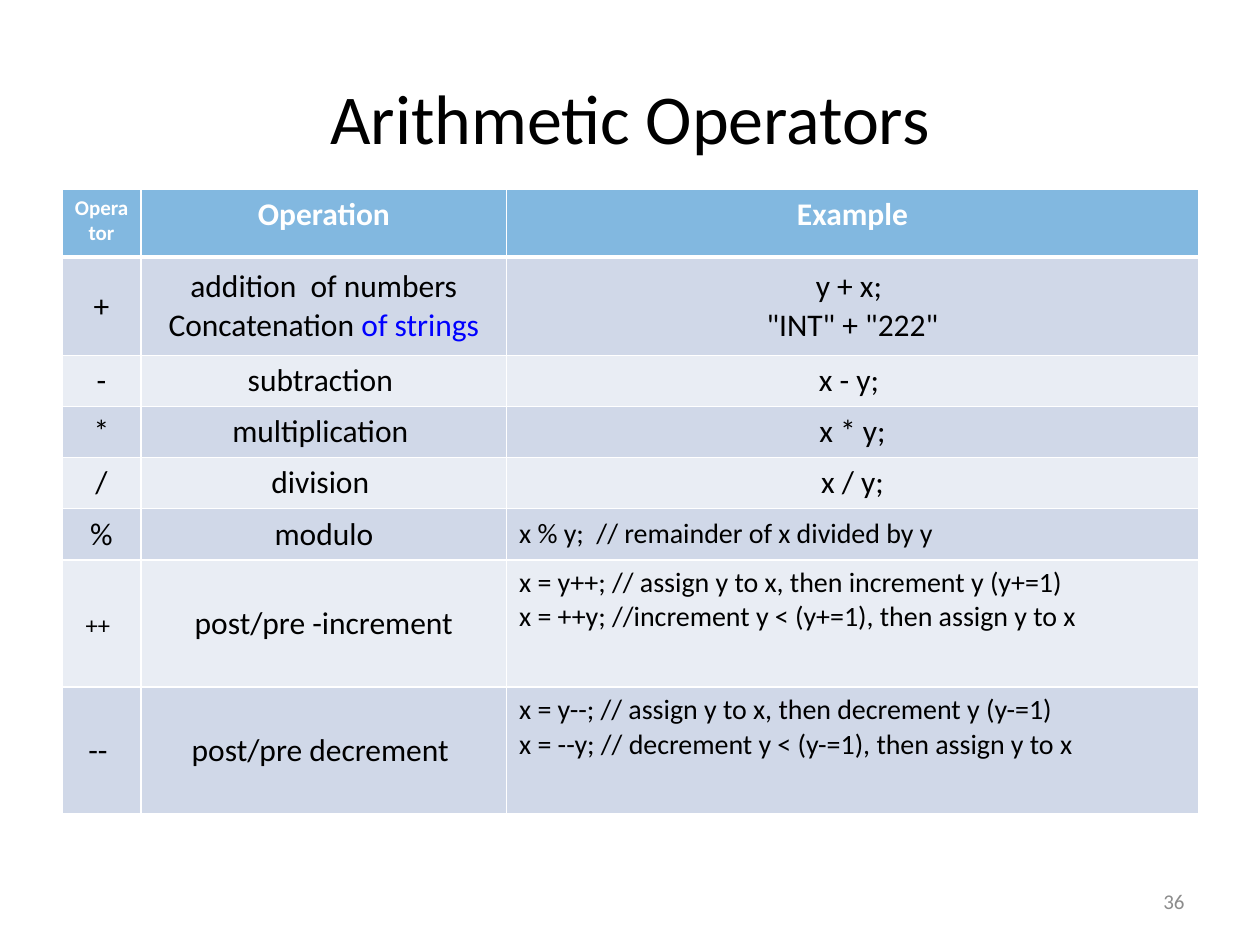
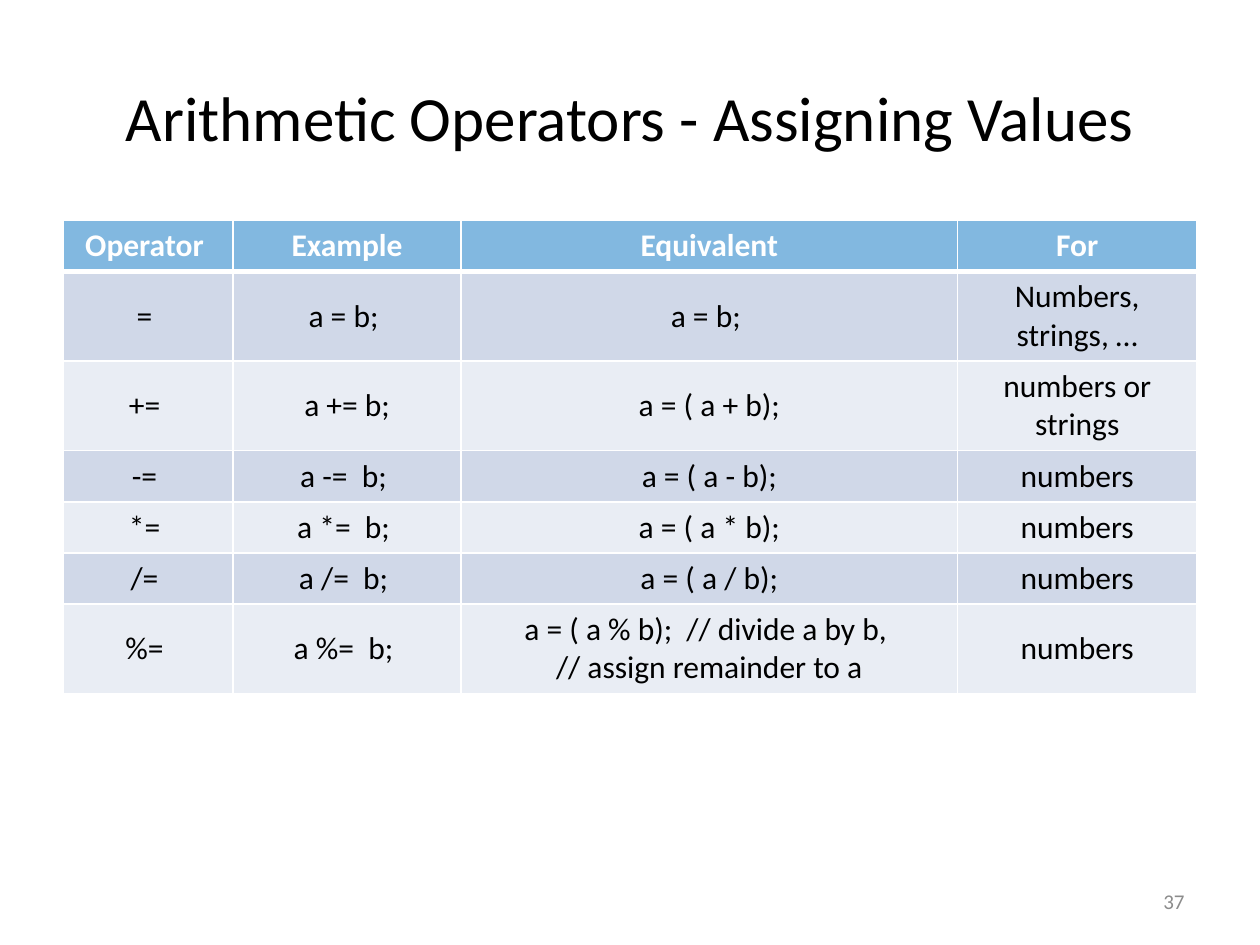
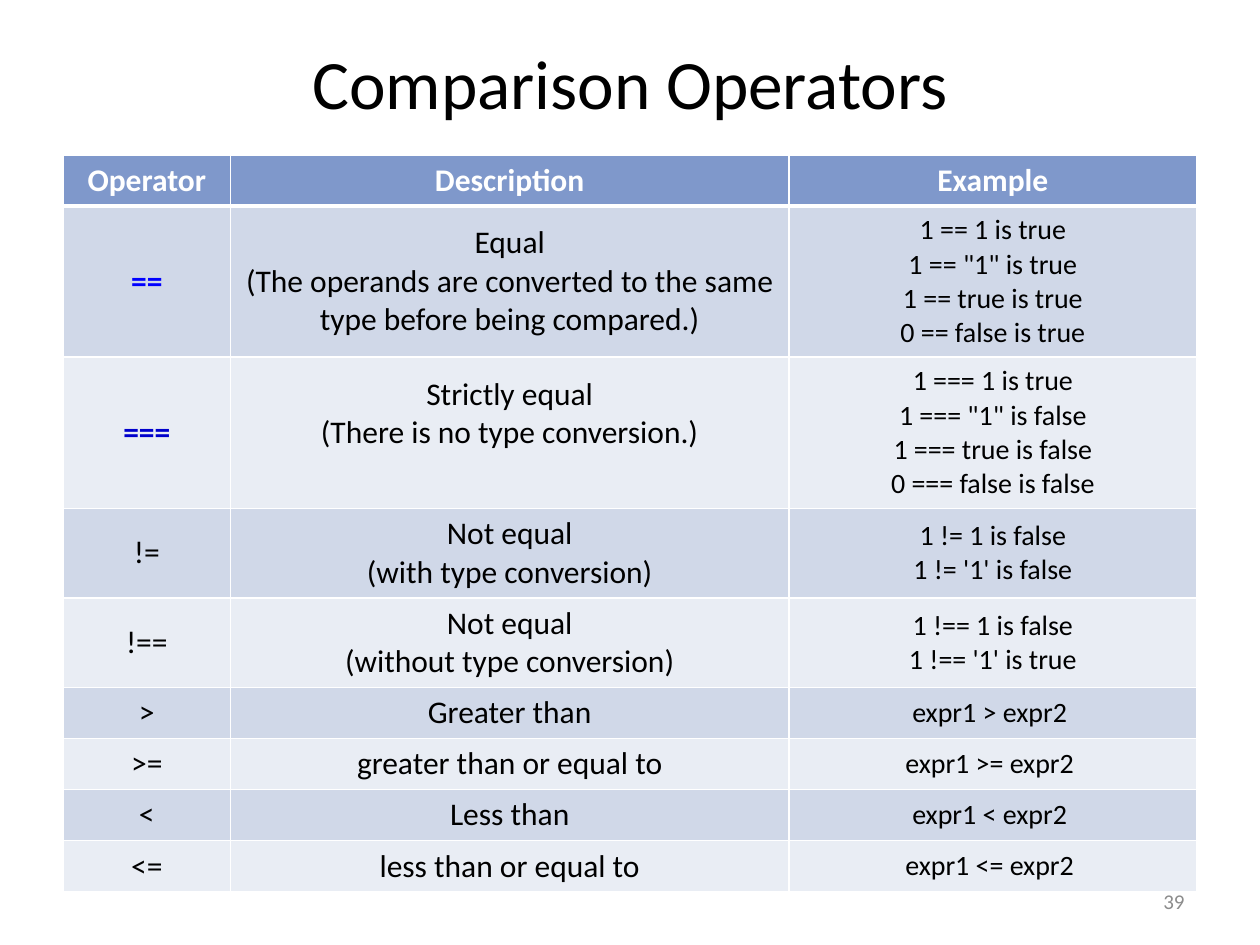
from dataclasses import dataclass

import pptx
import pptx.dml.color
import pptx.enum.text
import pptx.oxml
import pptx.oxml.ns
import pptx.util

Pt = pptx.util.Pt
Align = pptx.enum.text.PP_ALIGN
Anchor = pptx.enum.text.MSO_ANCHOR

FONT = "Calibri"
BLACK, WHITE, GREY = "000000", "FFFFFF", "8C8C8C"
BLUE, DARK_BLUE = "0000FF", "0000CC"
SKY_HEADER, NAVY_HEADER = "0070C0", "003399"
BANDS = ("D0D8E8", "E9EDF4")
TITLE_ONLY = 5
BODY_SIZE, CODE_SIZE = 18, 16


@dataclass(frozen=True)
class Run:
    text: str
    size: float = BODY_SIZE
    color: str = BLACK
    bold: bool = False


@dataclass(frozen=True)
class Cell:
    paragraphs: tuple[tuple[Run, ...], ...]
    align: Align = Align.CENTER
    anchor: Anchor = Anchor.MIDDLE
    bottom_margin: float = 3.6


@dataclass(frozen=True)
class OperatorTable:
    left: float
    top: float
    height: float
    columns: tuple[float, ...]
    row_heights: tuple[float, ...]
    header_color: str
    header_alpha: int
    header: tuple[Run, ...]
    rows: tuple[tuple[Cell, ...], ...]


@dataclass(frozen=True)
class OperatorSlide:
    title: str
    title_size: float
    title_height: float
    number: int
    table: OperatorTable


def lines(*texts: str, size: float = BODY_SIZE, **options) -> Cell:
    return Cell(tuple((Run(text, size),) for text in texts), **options)


def code(*texts: str, **options) -> Cell:
    return lines(*texts, size=CODE_SIZE, **options)


def styled(*runs: Run) -> Cell:
    return Cell((runs,))


def heading(text: str, size: float = BODY_SIZE) -> Run:
    return Run(text, size, WHITE, True)


def rgb(color: str) -> pptx.dml.color.RGBColor:
    return pptx.dml.color.RGBColor.from_string(color)


def add_run(paragraph, run: Run) -> None:
    for index, part in enumerate(run.text.split("\n")):
        if index:
            paragraph.add_line_break()
        piece = paragraph.add_run()
        piece.text = part
        piece.font.name = FONT
        piece.font.size = Pt(run.size)
        piece.font.bold = run.bold
        piece.font.color.rgb = rgb(run.color)


def write(text_frame, paragraphs: tuple[tuple[Run, ...], ...], align: Align) -> None:
    for index, runs in enumerate(paragraphs):
        paragraph = text_frame.add_paragraph() if index else text_frame.paragraphs[0]
        paragraph.alignment = align
        for run in runs:
            add_run(paragraph, run)


def set_borders(cell, top: float, bottom: float) -> None:
    properties = cell._tc.get_or_add_tcPr()
    namespace = pptx.oxml.ns.nsdecls("a")
    for side, width in (("L", 1), ("R", 1), ("T", top), ("B", bottom)):
        properties.append(pptx.oxml.parse_xml(
            f'<a:ln{side} {namespace} w="{Pt(width)}"><a:solidFill>'
            f'<a:srgbClr val="{WHITE}"/></a:solidFill></a:ln{side}>'))


def fill_cell(cell, color: str, alpha: int = 100) -> None:
    cell.fill.solid()
    cell.fill.fore_color.rgb = rgb(color)
    if alpha < 100:
        element = cell._tc.tcPr.find(".//" + pptx.oxml.ns.qn("a:solidFill") + "[last()]")
        fill = cell._tc.tcPr.findall(pptx.oxml.ns.qn("a:solidFill"))[-1]
        fill[0].append(pptx.oxml.parse_xml(
            f'<a:alpha {pptx.oxml.ns.nsdecls("a")} val="{alpha * 1000}"/>'))


def draw_cell(cell, content: Cell) -> None:
    cell.vertical_anchor = content.anchor
    cell.margin_bottom = Pt(content.bottom_margin)
    write(cell.text_frame, content.paragraphs, content.align)


def draw_table(slide, content: OperatorTable) -> None:
    frame = slide.shapes.add_table(
        len(content.row_heights), len(content.columns), Pt(content.left),
        Pt(content.top), Pt(sum(content.columns)), Pt(content.height))
    table = frame.table
    for column, width in zip(table.columns, content.columns):
        column.width = Pt(width)
    for row, height in zip(table.rows, content.row_heights):
        row.height = Pt(height)
    frame.height = Pt(content.height)
    for column, run in enumerate(content.header):
        cell = table.cell(0, column)
        set_borders(cell, 1, 3)
        fill_cell(cell, content.header_color, content.header_alpha)
        draw_cell(cell, Cell(((run,),), anchor=Anchor.TOP))
    for row, cells in enumerate(content.rows, start=1):
        for column, cell_content in enumerate(cells):
            cell = table.cell(row, column)
            set_borders(cell, 3 if row == 1 else 1, 1)
            fill_cell(cell, BANDS[(row - 1) % 2])
            draw_cell(cell, cell_content)


def draw_title(slide, content: OperatorSlide) -> None:
    title = slide.shapes.title
    title.left, title.top = Pt(36), Pt(21.6)
    title.width, title.height = Pt(648), Pt(content.title_height)
    title.text_frame.word_wrap = True
    title.text_frame.vertical_anchor = Anchor.MIDDLE
    write(title.text_frame, ((Run(content.title, content.title_size),),), Align.CENTER)


def draw_number(slide, number: int) -> None:
    box = slide.shapes.add_textbox(Pt(516), Pt(500.5), Pt(168), Pt(28.75))
    box.text_frame.word_wrap = True
    box.text_frame.vertical_anchor = Anchor.MIDDLE
    write(box.text_frame, ((Run(str(number), 12, GREY),),), Align.RIGHT)


def draw_slide(presentation, content: OperatorSlide) -> None:
    slide = presentation.slides.add_slide(presentation.slide_layouts[TITLE_ONLY])
    draw_title(slide, content)
    draw_table(slide, content.table)
    draw_number(slide, content.number)


ARITHMETIC = OperatorTable(
    left=35.3, top=108, height=355.7,
    columns=(45.4, 208.8, 395.3),
    row_heights=(38.9, 56.2, *[28.8] * 4, *[72.7] * 2),
    header_color=SKY_HEADER, header_alpha=49,
    header=(heading("Operator", 12), heading("Operation"), heading("Example")),
    rows=(
        (lines("+"),
         Cell(((Run("addition  of numbers"),),
               (Run("Concatenation "), Run("of strings", color=BLUE)))),
         lines("y + x; ", '"INT" + "222"')),
        (lines("-"), lines("subtraction "), lines("x - y; ")),
        (lines("*"), lines("multiplication "), lines("x * y;")),
        (lines("/"), lines("division "), lines("x / y;")),
        (lines("%"), lines("modulo"),
         code("x % y;  // remainder of x divided by y", align=Align.LEFT)),
        (styled(Run("++", 14), Run(" ")), lines("post/pre -increment"),
         code("x = y++; // assign y to x, then increment y (y+=1) ",
              "x = ++y; //increment y < (y+=1), then assign y to x",
              align=Align.LEFT, anchor=Anchor.TOP)),
        (lines("-- "), lines("post/pre decrement "),
         code("x = y--; // assign y to x, then decrement y (y-=1) ",
              "x = --y; // decrement y < (y-=1), then assign y to x",
              align=Align.LEFT, anchor=Anchor.TOP)),
    ))

ASSIGNMENT = OperatorTable(
    left=36, top=126, height=267.8,
    columns=(97.2, 130.3, 283.7, 136.8),
    row_heights=(29.2,) * 7,
    header_color=SKY_HEADER, header_alpha=49,
    header=tuple(heading(text) for text in ("Operator ", "Example", "Equivalent", "For")),
    rows=(
        (lines("= "), lines("a = b; "), lines("a = b; "), lines("Numbers, strings, …")),
        (lines("+= "), lines("a += b;"), lines("a = ( a + b);"), lines("numbers or strings")),
        *((lines(f"{sign}= "), lines(f"a {sign}=  b; "), lines(f"a = ( a {sign} b);"),
           lines("numbers")) for sign in "-*/"),
        (lines("%= "), lines("a %=  b; "),
         lines("a = ( a % b);  // divide a by b, ", "// assign remainder to a"),
         lines("numbers")),
    ))

COMPARISON = OperatorTable(
    left=36, top=88.5, height=418.3,
    columns=(95.8, 319, 233.2),
    row_heights=(25.9, *[86.4] * 2, *[46.8] * 2, *[26.6] * 4),
    header_color=NAVY_HEADER, header_alpha=50,
    header=tuple(heading(text) for text in ("Operator", "Description", "Example")),
    rows=(
        (styled(Run("==", color=BLUE, bold=True)),
         lines("Equal",
               "(The operands are converted to the same type before being compared.)"),
         code('1 == 1 is true\n1 == "1" is true\n1 == true is true\n0 == false is true')),
        (styled(Run("===", color=DARK_BLUE, bold=True)),
         lines("Strictly equal", "(There is no type conversion.)", bottom_margin=25.6),
         code('1 === 1 is true\n1 === "1" is false\n1 === true is false\n0 === false is false')),
        (lines("!="), lines("Not equal", "(with type conversion)"),
         code("1 != 1 is false", "1 != '1' is false")),
        (lines("!=="), lines("Not equal", "(without type conversion)"),
         code("1 !== 1 is false", "1 !== '1' is true")),
        *((lines(sign), lines(meaning), code(f"expr1 {sign} expr2 "))
          for sign, meaning in ((">", "Greater than"), (">=", "greater than or equal to"),
                                ("<", "Less than"), ("<=", "less than or equal to"))),
    ))

SLIDES = (
    OperatorSlide("Arithmetic Operators", 40, 90, 36, ARITHMETIC),
    OperatorSlide("Arithmetic Operators - Assigning Values", 36, 90, 37, ASSIGNMENT),
    OperatorSlide("Comparison Operators", 39.6, 50.4, 39, COMPARISON),
)


def main() -> None:
    presentation = pptx.Presentation()
    presentation.slide_width, presentation.slide_height = Pt(720), Pt(540)
    for content in SLIDES:
        draw_slide(presentation, content)
    presentation.save("out.pptx")


main()
